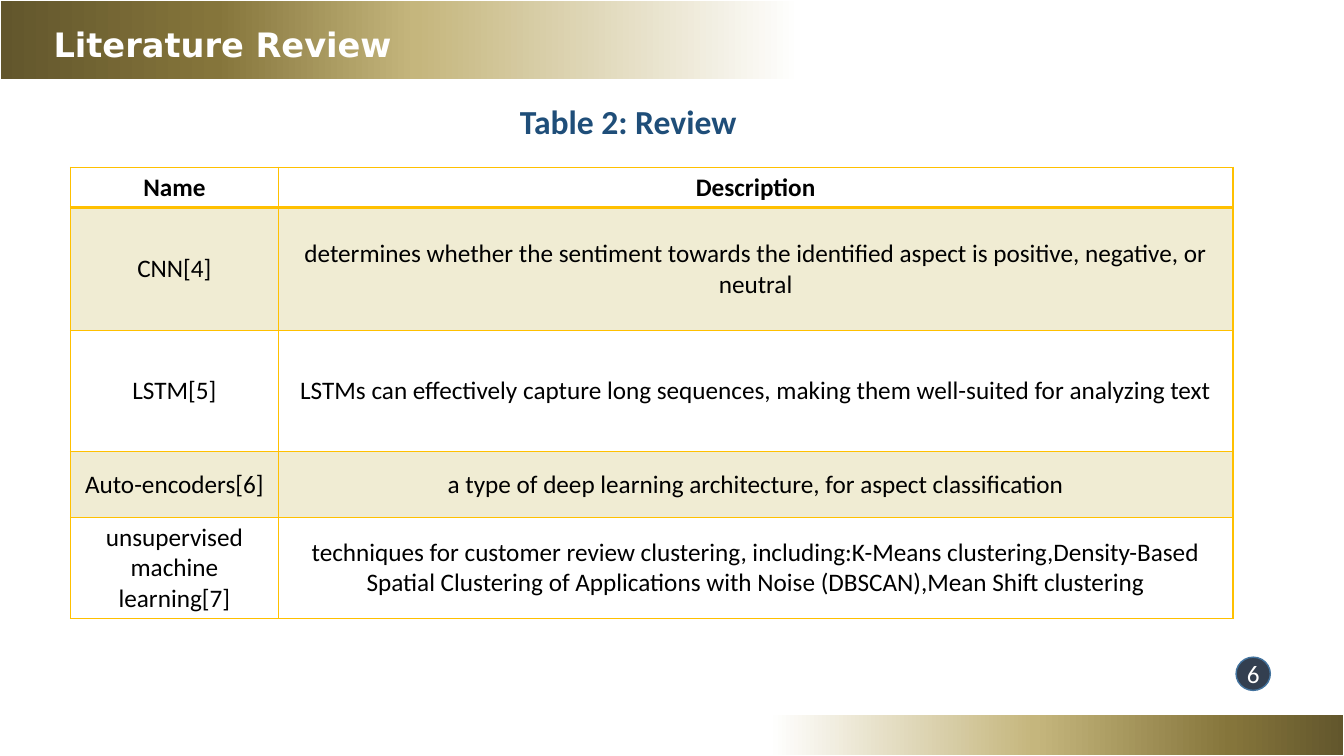
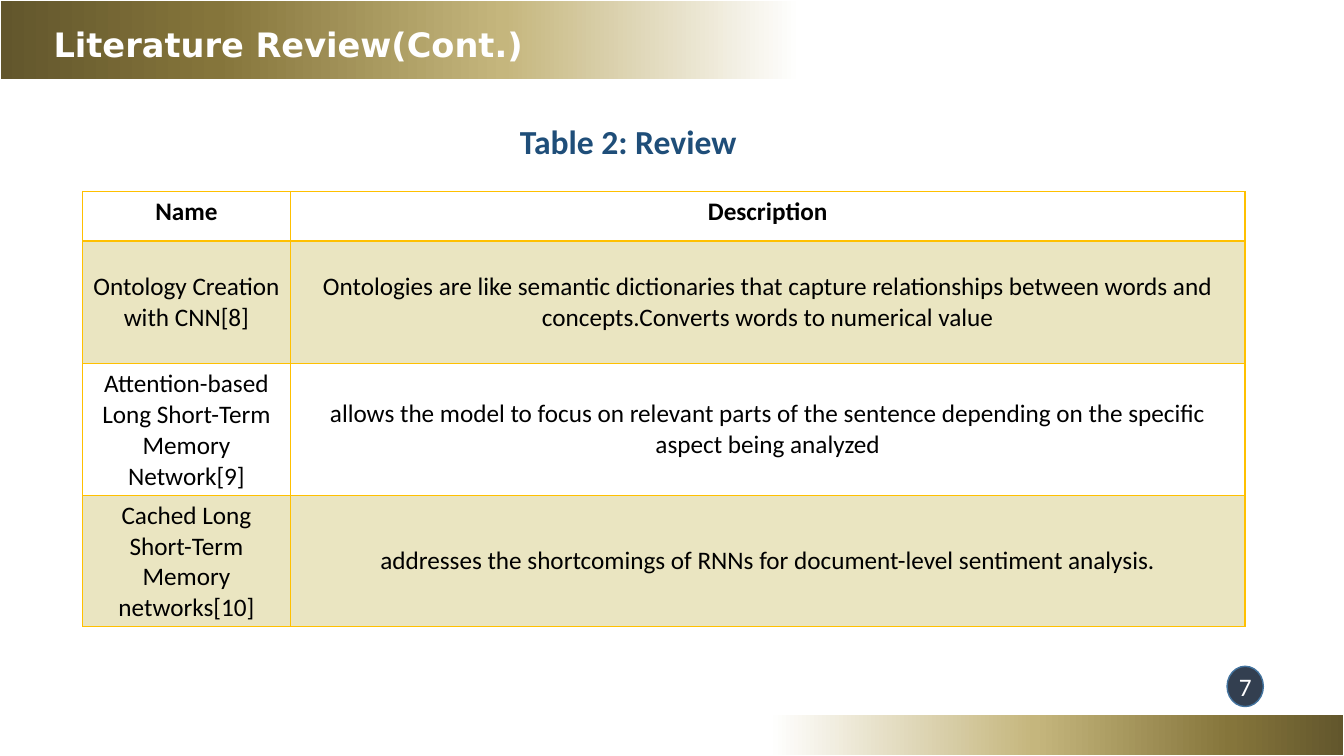
"""Build two literature review slides with a table each."""
from lxml import etree
from pptx import Presentation
from pptx.dml.color import RGBColor
from pptx.enum.shapes import MSO_SHAPE
from pptx.enum.text import MSO_ANCHOR, MSO_AUTO_SIZE, PP_ALIGN
from pptx.oxml.ns import qn
from pptx.util import Inches, Pt

RECT, OVAL = MSO_SHAPE.RECTANGLE, MSO_SHAPE.OVAL
LEFT, CENTER = PP_ALIGN.LEFT, PP_ALIGN.CENTER
TOP, MIDDLE = MSO_ANCHOR.TOP, MSO_ANCHOR.MIDDLE
NO_FIT = MSO_AUTO_SIZE.NONE

WIDTH, HEIGHT = Inches(13.33), Inches(7.5)
BODY_FONT, TITLE_FONT = "Calibri", "DejaVu Sans"
COLORS = {
    "white": "FFFFFF", "black": "000000", "caption": "1F4E79",
    "badge": "333F50", "badge_line": "43739E", "border": "FFC000",
    "dark": "62562C", "mid": "85753B", "light": "C5B67D",
    "cream": "ECE7C6", "olive": "CEC26C",
}
BAND_COLORS = ("dark", "mid", "light", "white")
BAND_HEIGHT = 10.53
FOOTER_LEFT, FOOTER_TOP = 43.74, 94.53
COLUMNS = (15.45, 71.04)
HEADER = ("Name", "Description")

SLIDES = [
    {
        "title": "Literature Review", "number": "6",
        "stops": (0, 27, 52, 100), "caption_top": 12.67,
        "table_at": (5.25, 22.13), "stripe": ("cream", 77),
        "badge_at": (91.97, 86.93, 2.55, 4.4),
        "heights": (5.33, 16.27, 16, 8.67, 13.4),
        "rows": [
            ("CNN[4]", "determines whether the sentiment towards the identified "
             "aspect is positive, negative, or neutral"),
            ("LSTM[5]", "LSTMs can effectively capture long sequences, making "
             "them well-suited for analyzing text"),
            ("Auto-encoders[6]", "a type of deep learning architecture, for "
             "aspect classification"),
            ("unsupervised machine learning[7]", "techniques for customer review "
             "clustering, including:K-Means clustering,Density-Based Spatial "
             "Clustering of Applications with Noise (DBSCAN),Mean Shift clustering"),
        ],
    },
    {
        "title": "Literature Review(Cont.)", "number": "7",
        "stops": (0, 27, 63, 100), "caption_top": 15.33,
        "table_at": (6.15, 25.33), "stripe": ("olive", 42),
        "badge_at": (91.3, 88.13, 2.7, 5.33),
        "heights": (6.53, 16.27, 17.4, 17.4),
        "rows": [
            ("Ontology Creation with CNN[8]", "Ontologies are like semantic "
             "dictionaries that capture relationships between words and "
             "concepts.Converts words to numerical value"),
            ("Attention-based Long Short-Term Memory Network[9]", "allows the "
             "model to focus on relevant parts of the sentence depending on the "
             "specific aspect being analyzed"),
            ("Cached Long Short-Term Memory networks[10]", "addresses the "
             "shortcomings of RNNs for document-level sentiment analysis."),
        ],
    },
]


def rgb(name):
    """Return the named colour."""
    return RGBColor.from_string(COLORS[name])


def across(share):
    """Turn a percentage of the slide's width into a length."""
    return int(WIDTH * share / 100)


def down(share):
    """Turn a percentage of the slide's height into a length."""
    return int(HEIGHT * share / 100)


def box(left, top, width, height):
    """Turn percentages of the slide into a position and size."""
    return across(left), down(top), across(width), down(height)


def write(tf, text, size=18, color="black", bold=False, font=BODY_FONT, align=CENTER):
    """Put one formatted paragraph into a text frame."""
    p = tf.paragraphs[0]
    p.alignment = align
    r = p.add_run()
    r.text = text
    r.font.size, r.font.bold, r.font.name = Pt(size), bold, font
    r.font.color.rgb = rgb(color)


def add_shape(slide, kind, place, line):
    """Add a shadowless preset shape with a thin outline."""
    sp = slide.shapes.add_shape(kind, *place)
    sp.shadow.inherit = False
    sp.line.color.rgb = rgb(line)
    sp.line.width = Pt(1)
    return sp


def add_band(slide, place, stops, rotation=0):
    """Add a gold band that fades to white."""
    sp = add_shape(slide, RECT, place, "white")
    sp.rotation = rotation
    sp.fill.gradient()
    sp.fill.gradient_angle = 0
    gs_list = sp._element.spPr.find(".//" + qn("a:gsLst"))
    for gs in list(gs_list):
        gs_list.remove(gs)
    for stop, name in zip(stops, BAND_COLORS):
        gs = etree.SubElement(gs_list, qn("a:gs"), pos=str(stop * 1000))
        etree.SubElement(gs, qn("a:srgbClr"), val=COLORS[name])


def set_title(slide, text):
    """Place the title placeholder over the top band."""
    sp = slide.shapes.title
    sp.left, sp.top, sp.width, sp.height = box(3.23, 0.6, 69.17, BAND_HEIGHT)
    tf = sp.text_frame
    tf.auto_size, tf.vertical_anchor = NO_FIT, MIDDLE
    write(tf, text, size=24, color="white", bold=True, font=TITLE_FONT, align=LEFT)
    slide.shapes._spTree.append(sp._element)


def add_caption(slide, text, top):
    """Add the centred table caption."""
    tf = slide.shapes.add_textbox(*box(1.73, top, 90.02, 6.67)).text_frame
    tf.word_wrap = True
    write(tf, text, size=24, color="caption", bold=True)


def add_badge(slide, number, place):
    """Add the round page number."""
    sp = add_shape(slide, OVAL, box(*place), "badge_line")
    sp.fill.solid()
    sp.fill.fore_color.rgb = rgb("badge")
    tf = sp.text_frame
    tf.margin_left = tf.margin_right = tf.margin_top = tf.margin_bottom = 0
    tf.vertical_anchor, tf.word_wrap = MIDDLE, False
    write(tf, number, color="white")


def set_borders(cell, top=1, bottom=1):
    """Outline a cell, with widths in points."""
    tc_pr = cell._tc.get_or_add_tcPr()
    widths = {"a:lnL": 1, "a:lnR": 1, "a:lnT": top, "a:lnB": bottom}
    for i, (tag, width) in enumerate(widths.items()):
        ln = etree.Element(qn(tag), w=str(Pt(width)))
        fill = etree.SubElement(ln, qn("a:solidFill"))
        etree.SubElement(fill, qn("a:srgbClr"), val=COLORS["border"])
        tc_pr.insert(i, ln)


def shade(cell, name, opacity):
    """Fill a cell with a partly transparent colour."""
    cell.fill.solid()
    cell.fill.fore_color.rgb = rgb(name)
    clr = cell._tc.tcPr.find(".//" + qn("a:srgbClr"))
    etree.SubElement(clr, qn("a:alpha"), val=str(opacity * 1000))


def add_review_table(slide, rows, heights, at, stripe):
    """Add a table with a header row and every other row shaded."""
    rows = [HEADER, *rows]
    place = box(*at, sum(COLUMNS), sum(heights))
    table = slide.shapes.add_table(len(rows), len(COLUMNS), *place).table
    table.first_row = table.horz_banding = False
    for column, width in zip(table.columns, COLUMNS):
        column.width = across(width)
    for i, (row, height, texts) in enumerate(zip(table.rows, heights, rows)):
        row.height = down(height)
        header = i == 0
        for cell, text in zip(row.cells, texts):
            cell.vertical_anchor = TOP if header else MIDDLE
            write(cell.text_frame, text, bold=header)
            if i % 2:
                shade(cell, *stripe)
            else:
                cell.fill.background()
            set_borders(cell, top=2 if i == 1 else 1, bottom=2 if header else 1)


def add_slide(prs, data):
    """Add one review slide."""
    slide = prs.slides.add_slide(prs.slide_layouts[5])
    add_band(slide, box(0, 0, 59.56, BAND_HEIGHT), data["stops"])
    add_band(slide, box(FOOTER_LEFT, FOOTER_TOP, 100 - FOOTER_LEFT, 100 - FOOTER_TOP),
             (0, 15, 41, 76), rotation=180)
    set_title(slide, data["title"])
    add_caption(slide, "Table 2: Review", data["caption_top"])
    add_review_table(slide, data["rows"], data["heights"], data["table_at"], data["stripe"])
    add_badge(slide, data["number"], data["badge_at"])


def main():
    """Build and save the presentation."""
    prs = Presentation()
    prs.slide_width, prs.slide_height = WIDTH, HEIGHT
    for data in SLIDES:
        add_slide(prs, data)
    prs.save("out.pptx")


if __name__ == "__main__":
    main()
